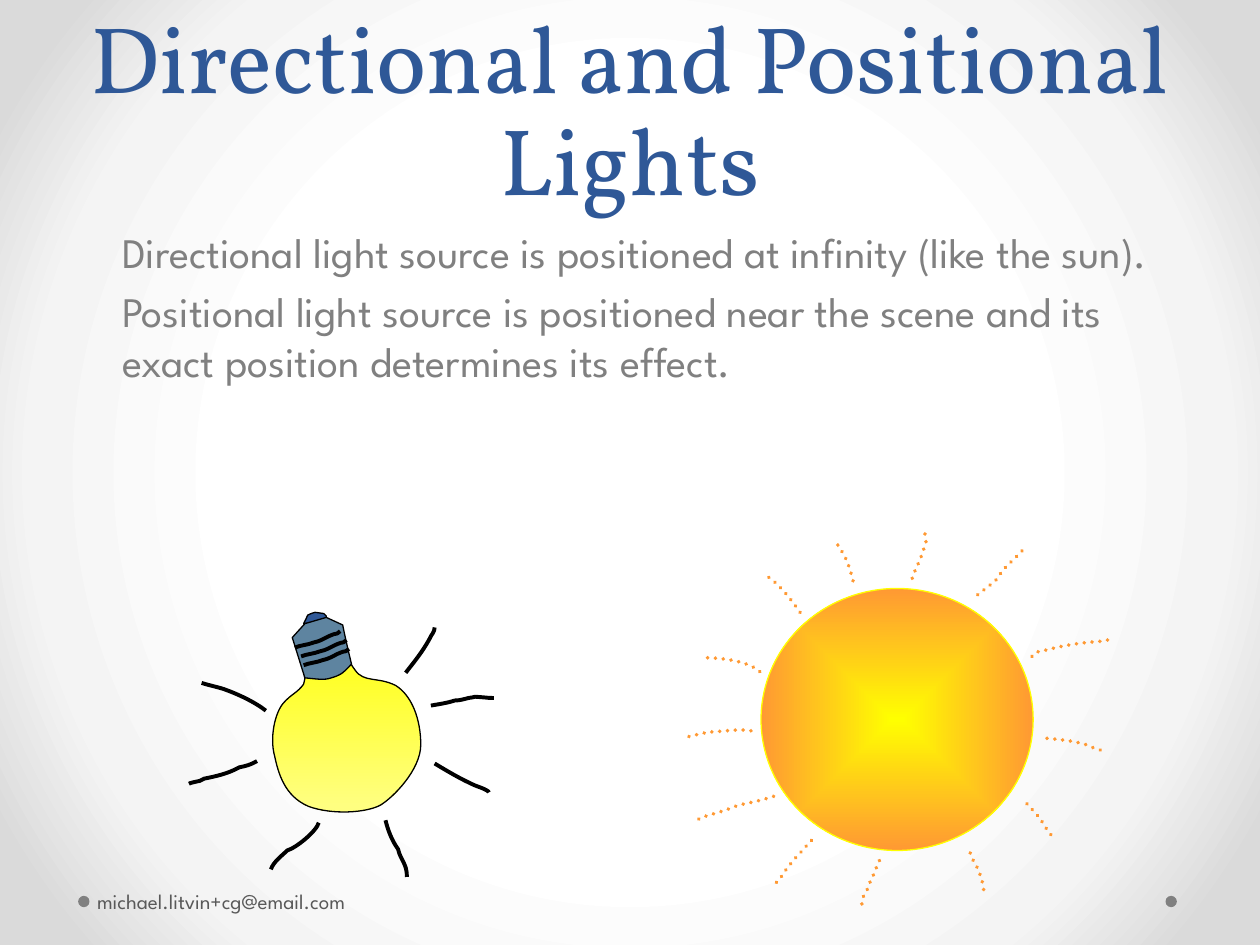
from dataclasses import dataclass

from lxml.etree import SubElement
from pptx import Presentation
from pptx.dml.color import RGBColor
from pptx.enum.dml import MSO_LINE
from pptx.enum.shapes import MSO_SHAPE as SHAPE
from pptx.enum.text import MSO_ANCHOR as ANCHOR, PP_ALIGN as ALIGN
from pptx.oxml.ns import qn
from pptx.util import Pt

PX = 9144
BLACK, BLUE, GRAY = "000000", "2F5897", "808080"
YELLOW, ORANGE = "FFFF00", "FF9933"
SANS, SERIF = "League Spartan", "Vollkorn"


@dataclass
class Curve:
    start: tuple[int, int]
    segments: list[tuple[int, ...]]


@dataclass
class Stop:
    pos: int
    color: str


BULB = Curve((241, 543), [
    (245, 535, 234, 515, 235, 505), (252, 488),
    (252, 488, 261, 493, 270, 497), (273, 507, 275, 524, 282, 532),
    (289, 542, 300, 537, 314, 544), (327, 552, 334, 571, 334, 591),
    (334, 611, 312, 633, 302, 639), (291, 645, 264, 647, 245, 640),
    (226, 632, 221, 614, 218, 600), (214, 586, 218, 566, 225, 558),
    (231, 551, 236, 550, 241, 543)])
TIP = Curve((241, 495), [
    (242, 494, 242, 492, 243, 491), (243, 489, 245, 487, 247, 487),
    (248, 486, 249, 486, 250, 486), (253, 486, 254, 486, 257, 487),
    (257, 487, 259, 489, 259, 489), (260, 492, 257, 494, 255, 495),
    (253, 495, 252, 496, 250, 496), (249, 496, 247, 496, 246, 496),
    (244, 495, 243, 494, 241, 495)])
SOCKET = Curve((242, 538), [
    (253, 539, 257, 540, 263, 538), (269, 536, 271, 536, 279, 527),
    (275, 511, 272, 496, 272, 496), (259, 490), (242, 495), (232, 506),
    (232, 506, 242, 538, 242, 538)])
THREAD = [(5, -2, 10, -2, 15, -4), (20, -5, 23, -7, 27, -9),
          (36, -13, 31, -9, 36, -13)]
THREAD_STARTS = [(234, 514), (239, 521), (241, 528)]
BULB_RAYS = [
    Curve((322, 534), [(329, 525, 335, 518, 341, 507), (342, 504, 345, 502, 345, 498)]),
    Curve((342, 560), [(348, 559, 355, 558, 361, 556), (365, 556, 368, 555, 372, 554),
                       (374, 554, 377, 553, 377, 553), (391, 554, 386, 554, 392, 554)]),
    Curve((345, 606), [(355, 612, 365, 618, 376, 623), (378, 624, 388, 627, 388, 629)]),
    Curve((306, 651), [(308, 659, 311, 667, 316, 674), (318, 683, 323, 685, 323, 696)]),
    Curve((253, 653), [(251, 660, 235, 673, 228, 675), (224, 679, 217, 684, 215, 690)]),
    Curve((204, 604), [(199, 607, 195, 608, 190, 609), (181, 614, 172, 616, 162, 618),
                       (156, 621, 161, 619, 153, 621), (152, 621, 150, 622, 150, 622)]),
    Curve((211, 564), [(202, 557, 189, 551, 178, 547), (172, 545, 166, 544, 160, 542)]),
]
SUN_RAYS = [
    Curve((776, 472), [(781, 468, 785, 465, 790, 461), (794, 455, 799, 448, 805, 444),
                       (807, 441, 812, 436, 815, 434)]),
    Curve((819, 521), [(822, 517, 825, 517, 830, 516), (845, 512, 859, 510, 874, 509),
                       (878, 508, 877, 508, 879, 508)]),
    Curve((831, 586), [(842, 587, 852, 588, 862, 591), (866, 593, 869, 594, 873, 595),
                       (876, 598, 875, 598, 877, 598)]),
    Curve((815, 638), [(819, 642, 822, 646, 826, 650), (828, 655, 833, 661, 836, 665)]),
    Curve((770, 677), [(772, 684, 775, 686, 777, 692), (778, 694, 779, 698, 779, 698),
                       (780, 700, 781, 707, 781, 710)]),
    Curve((698, 683), [(695, 689, 694, 694, 691, 699), (689, 704, 688, 708, 685, 712),
                       (683, 721, 685, 719, 682, 722)]),
    Curve((644, 667), [(640, 670, 639, 674, 635, 677), (631, 681, 628, 685, 624, 690),
                       (622, 693, 620, 696, 618, 699), (617, 700, 615, 701, 615, 701)]),
    Curve((614, 632), [(605, 635, 596, 637, 586, 639), (577, 643, 566, 646, 556, 649),
                       (551, 653, 553, 651, 551, 654)]),
    Curve((596, 580), [(586, 578, 572, 581, 561, 581), (557, 583, 552, 583, 548, 584),
                       (547, 585, 545, 585, 545, 585)]),
    Curve((603, 533), [(593, 524, 571, 522, 558, 522)]),
    Curve((635, 486), [(628, 476, 617, 461, 605, 455)]),
    Curve((677, 461), [(675, 453, 673, 446, 669, 439), (664, 431, 665, 435, 665, 431)]),
    Curve((724, 459), [(726, 452, 730, 446, 732, 439), (733, 436, 734, 434, 734, 432),
                       (735, 431, 735, 429, 735, 429), (734, 422, 734, 425, 734, 421)]),
]


def rgb(color: str) -> RGBColor:
    return RGBColor.from_string(color)


def gradient(fill, root, stops: list[Stop], path: str = "") -> None:
    fill.gradient()
    grad = root.find(".//" + qn("a:gradFill"))
    for child in list(grad):
        grad.remove(child)
    gs_list = SubElement(grad, qn("a:gsLst"))
    for stop in stops:
        gs = SubElement(gs_list, qn("a:gs"), pos=str(stop.pos * 1000))
        SubElement(gs, qn("a:srgbClr"), val=stop.color)
    if path:
        node = SubElement(grad, qn("a:path"), path=path)
        SubElement(node, qn("a:fillToRect"), {side: "50000" for side in "ltrb"})
    else:
        SubElement(grad, qn("a:lin"), ang="5400000", scaled="0")


def style(sp, fill: str = "", line: str = "", width: float = 0.75,
          dotted: bool = False) -> None:
    sp.shadow.inherit = False
    if fill:
        sp.fill.solid()
        sp.fill.fore_color.rgb = rgb(fill)
    else:
        sp.fill.background()
    if line:
        sp.line.color.rgb = rgb(line)
        sp.line.width = Pt(width)
        if dotted:
            sp.line.dash_style = MSO_LINE.ROUND_DOT
            sp._element.spPr.find(qn("a:ln")).set("cap", "rnd")
    else:
        sp.line.fill.background()


def add_curve(shapes, curve: Curve, closed: bool = False, **look):
    ends = [curve.start] + [seg[-2:] for seg in curve.segments]
    left, top = (min(values) for values in zip(*ends))
    builder = shapes.build_freeform(*curve.start, scale=PX)
    builder.add_line_segments(ends[1:], close=closed)
    sp = builder.convert_to_shape()
    lines = list(sp._element.iter(qn("a:lnTo")))
    for node, seg in zip(lines, curve.segments):
        if len(seg) == 6:
            bezier = node.makeelement(qn("a:cubicBezTo"))
            for x, y in zip(seg[::2], seg[1::2]):
                SubElement(bezier, qn("a:pt"), x=str(x - left), y=str(y - top))
            node.getparent().replace(node, bezier)
    style(sp, **look)
    return sp


def add_ellipse(shapes, box: tuple[int, int, int, int], **look):
    sp = shapes.add_shape(SHAPE.OVAL, *(v * PX for v in box))
    style(sp, **look)
    return sp


def add_text(s, box: tuple[int, int, int, int], text: str, *, size: int, font: str,
             color: str, align=ALIGN.LEFT, anchor=ANCHOR.TOP, left: int = 10,
             indent: int = 0, before: float = 0, spacing: int = 0) -> None:
    tf = s.shapes.add_textbox(*(v * PX for v in box)).text_frame
    tf.word_wrap = True
    tf.vertical_anchor = anchor
    tf.margin_left = left * PX
    for i, line in enumerate(text.split("\n")):
        p = tf.paragraphs[0] if i == 0 else tf.add_paragraph()
        p.alignment = align
        if indent:
            p._p.get_or_add_pPr().set("marL", str(indent * PX))
        if i and before:
            p.space_before = Pt(before)
        if spacing:
            p.line_spacing = Pt(spacing)
        r = p.add_run()
        r.text = line
        r.font.size, r.font.name, r.font.color.rgb = Pt(size), font, rgb(color)


def main() -> None:
    prs = Presentation()
    prs.slide_width, prs.slide_height = 1000 * PX, 750 * PX
    s = prs.slides.add_slide(prs.slide_layouts[6])
    gradient(s.background.fill, s._element,
             [Stop(50, "FFFFFF"), Stop(76, "F4F4F4"), Stop(92, "DADADA")], "circle")
    for x in (925, 62):
        add_ellipse(s.shapes, (x, 711, 9, 9), fill=GRAY)

    add_text(s, (50, 0, 900, 175), "Directional and Positional Lights", size=54,
             font=SERIF, color=BLUE, align=ALIGN.CENTER, anchor=ANCHOR.BOTTOM, spacing=58)
    add_text(s, (50, 175, 905, 213),
             "Directional light source is positioned at infinity (like the sun).\n"
             "Positional light source is positioned near the scene and its "
             "exact position determines its effect.",
             size=24, font=SANS, color=GRAY, indent=37, before=4.8)

    lamp = s.shapes.add_group_shape().shapes
    bulb = add_curve(lamp, BULB, closed=True, line=BLACK)
    gradient(bulb.fill, bulb._element, [Stop(0, YELLOW), Stop(100, "FFFF80")])
    add_curve(lamp, TIP, closed=True, fill=BLUE, line=BLACK)
    add_curve(lamp, SOCKET, closed=True, fill="5E84A0", line=BLACK)
    for x, y in THREAD_STARTS:
        segments = [tuple(v + (x, y)[i % 2] for i, v in enumerate(seg)) for seg in THREAD]
        add_curve(lamp, Curve((x, y), segments), line=BLACK, width=2.25)
    for ray in BULB_RAYS:
        add_curve(lamp, ray, line=BLACK, width=2.25)

    sunshine = s.shapes.add_group_shape().shapes
    sun = add_ellipse(sunshine, (604, 467, 216, 208), line=YELLOW)
    gradient(sun.fill, sun._element, [Stop(0, YELLOW), Stop(100, ORANGE)], "shape")
    for ray in SUN_RAYS:
        add_curve(sunshine, ray, line=ORANGE, width=2.25, dotted=True)

    add_text(s, (72, 695, 311, 40), "michael.litvin+cg@email.com", size=12, font=SANS,
             color="595959", anchor=ANCHOR.MIDDLE, left=5)
    prs.save("out.pptx")


if __name__ == "__main__":
    main()
